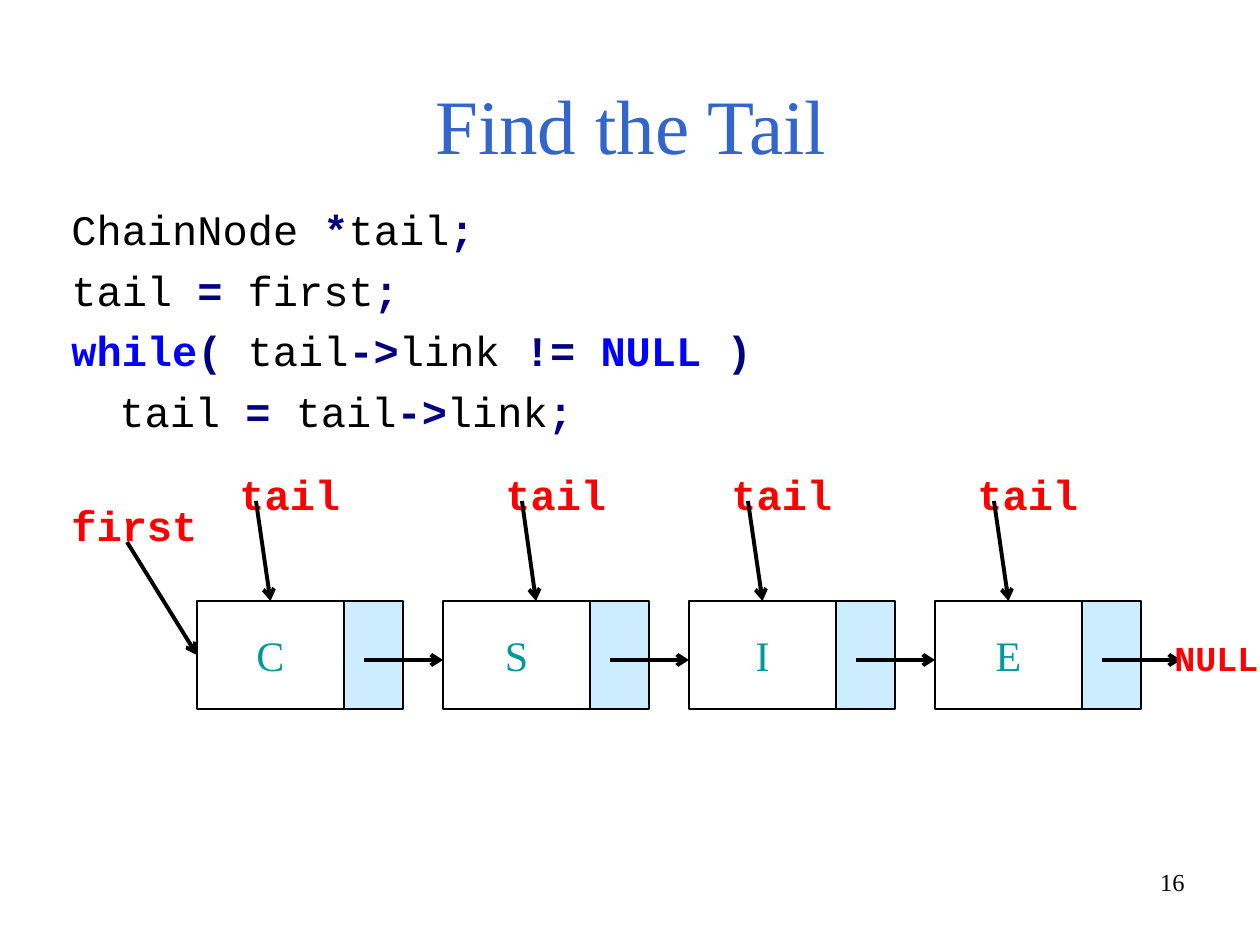
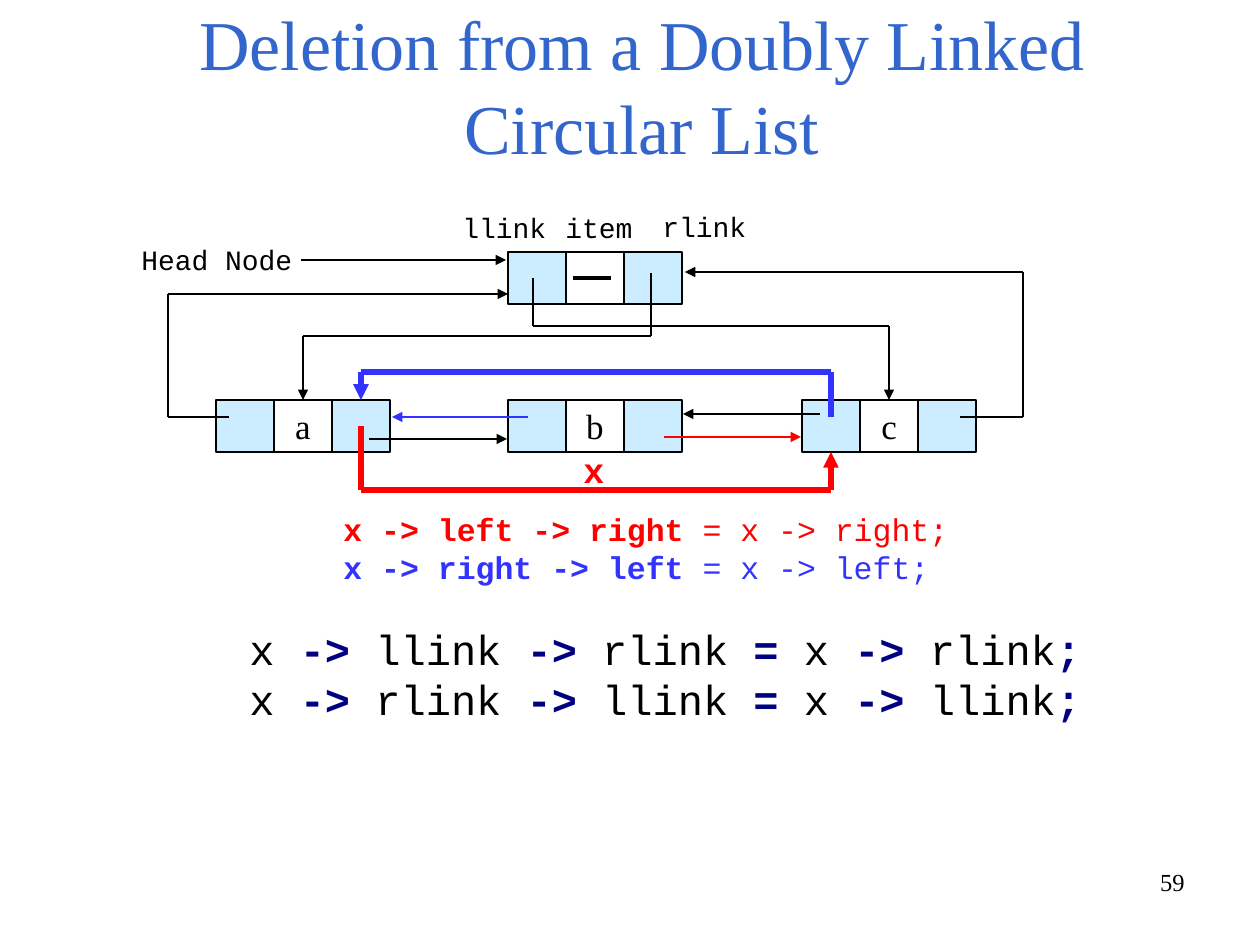
"""Build two slides on linked lists: finding the tail and deleting a node."""
from dataclasses import dataclass
from itertools import groupby, pairwise
from typing import Any, NamedTuple, Optional

from lxml.etree import SubElement
from pptx import Presentation
from pptx.dml.color import RGBColor
from pptx.enum.shapes import MSO_CONNECTOR, MSO_SHAPE
from pptx.enum.text import MSO_ANCHOR, PP_ALIGN
from pptx.oxml.ns import qn
from pptx.util import Emu, Pt

EMU_PER_PX = 914400 / 126
TOP, LEFT, BOTTOM = 0, 1, 2


@dataclass(frozen=True)
class Theme:
    serif: str = "Times New Roman"
    mono: str = "Courier New"
    black: str = "000000"
    white: str = "FFFFFF"
    title: str = "3366CC"
    link: str = "CCECFF"
    item: str = "009999"
    operator: str = "000080"
    keyword: str = "0000FF"
    red: str = "FF0000"
    blue: str = "3333FF"
    title_size: int = 44
    long_title_size: int = 40
    code_size: int = 24
    node_size: int = 20
    step_size: int = 18
    field_size: int = 16
    number_size: int = 14


T = Theme()


class Box(NamedTuple):
    x: int
    y: int
    w: int
    h: int


class Run(NamedTuple):
    text: str
    color: str = T.black
    bold: bool = False


class Style(NamedTuple):
    size: int
    font: str = T.mono
    align: PP_ALIGN = PP_ALIGN.LEFT
    anchor: MSO_ANCHOR = MSO_ANCHOR.TOP
    wrap: bool = True
    gap: int = 0


class Label(NamedTuple):
    box: Box
    run: Run
    style: Style


class Route(NamedTuple):
    points: list[tuple[int, int]]
    color: str = T.black
    width: float = 0.75
    head: Optional[str] = "triangle"
    target: Any = None
    site: int = TOP


def px(n: int) -> Emu:
    return Emu(round(n * EMU_PER_PX))


def assign(obj: Any, values: dict[str, Any]) -> None:
    for name, value in values.items():
        setattr(obj, name, value)


def write(sp: Any, lines: list[list[Run]], style: Style) -> None:
    tf = sp.text_frame
    assign(tf, {"word_wrap": style.wrap, "vertical_anchor": style.anchor})
    for i, runs in enumerate(lines):
        p = tf.add_paragraph() if i else tf.paragraphs[0]
        assign(p, {"alignment": style.align, "space_before": Pt(style.gap if i else 0)})
        for run in runs:
            r = p.add_run()
            r.text = run.text
            assign(r.font, {"name": style.font, "size": Pt(style.size), "bold": run.bold})
            r.font.color.rgb = RGBColor.from_string(run.color)


def add_text(s: Any, box: Box, lines: list[list[Run]], style: Style) -> Any:
    sp = s.shapes.add_textbox(*map(px, box))
    write(sp, lines, style)
    return sp


def add_labels(s: Any, labels: list[Label]) -> None:
    for label in labels:
        add_text(s, label.box, [[label.run]], label.style)


def add_cell(s: Any, box: Box, fill: Optional[str], width: float,
             run: Optional[Run] = None, size: int = T.node_size) -> Any:
    sp = s.shapes.add_shape(MSO_SHAPE.RECTANGLE, *map(px, box))
    sp.shadow.inherit = False
    if fill:
        sp.fill.solid()
        sp.fill.fore_color.rgb = RGBColor.from_string(fill)
    else:
        sp.fill.background()
    sp.line.color.rgb = RGBColor.from_string(T.black)
    sp.line.width = Pt(width)
    if run:
        write(sp, [[run]], Style(size, T.serif, PP_ALIGN.CENTER, MSO_ANCHOR.MIDDLE, False))
    return sp


def add_route(s: Any, route: Route) -> None:
    segments = list(pairwise(route.points))
    for i, (start, end) in enumerate(segments, 1):
        cn = s.shapes.add_connector(MSO_CONNECTOR.STRAIGHT, *map(px, start + end))
        cn.line.color.rgb = RGBColor.from_string(route.color)
        cn.line.width = Pt(route.width)
        spPr = cn._element.spPr
        SubElement(spPr, qn("a:effectLst"))
        if i < len(segments):
            continue
        if route.head:
            SubElement(spPr.find(qn("a:ln")), qn("a:tailEnd"), type=route.head)
        if route.target is not None:
            cn.end_connect(route.target, route.site)


def code_kind(char: str) -> str:
    return "word" if char.isalnum() else "space" if char.isspace() else "operator"


def code_runs(line: str) -> list[Run]:
    runs = []
    for kind, chars in groupby(line, code_kind):
        text = "".join(chars)
        if text in ("while", "NULL"):
            runs.append(Run(text, T.keyword, True))
        elif kind == "operator":
            runs.append(Run(text, T.operator, True))
        else:
            runs.append(Run(text))
    return runs


def add_base(prs: Any, title: str, box: Box, size: int, anchor: MSO_ANCHOR, number: int) -> Any:
    s = prs.slides.add_slide(prs.slide_layouts[6])
    add_text(s, Box(903, 861, 294, 66), [[Run(str(number))]],
             Style(T.number_size, T.serif, PP_ALIGN.RIGHT))
    add_text(s, box, [[Run(title, T.title)]],
             Style(size, T.serif, PP_ALIGN.CENTER, anchor))
    return s


def find_tail(prs: Any) -> None:
    s = add_base(prs, "Find the Tail", Box(64, 45, 1134, 158),
                 T.title_size, MSO_ANCHOR.MIDDLE, 16)
    code = ["ChainNode *tail;", "tail = first;", "while( tail->link != NULL )",
            "tail = tail->link;"]
    sp = add_text(s, Box(59, 197, 1134, 605), [code_runs(line) for line in code],
                  Style(T.code_size, gap=6))
    sp.text_frame.paragraphs[-1]._p.get_or_add_pPr().set("marL", str(px(48)))

    x0, y, pitch, item_w, link_w, h = 197, 601, 246, 147, 59, 108
    nodes = []
    for i, letter in enumerate("CSIE"):
        x = x0 + i * pitch
        add_cell(s, Box(x + item_w, y, link_w, h), T.link, 1)
        nodes.append(add_cell(s, Box(x, y, item_w, h), None, 1,
                              Run(letter, T.item), T.code_size))
        add_route(s, Route([(x + 167, 660), (x + pitch, 660)], width=2.25, head="arrow"))

    pointer = Style(T.code_size, wrap=False)
    add_labels(s, [
        Label(Box(59, 493, 151, 63), Run("first", T.red, True), pointer),
        Label(Box(1162, 630, 123, 55), Run("NULL", T.red, True), Style(T.node_size)),
    ])
    add_route(s, Route([(127, 542), (x0, 655)], width=2.25, head="arrow",
                       target=nodes[0], site=LEFT))
    for tip, node in zip((270, 536, 762, 1008), (nodes[0], None, nodes[2], nodes[3])):
        add_labels(s, [Label(Box(tip - 43, 462, 126, 63), Run("tail", T.red, True), pointer)])
        add_route(s, Route([(tip - 14, 501), (tip, y)], width=2.25, head="arrow", target=node))


def add_double_node(s: Any, x: int, y: int, letter: str = "") -> list[Any]:
    w, h = 58, 52
    run = Run(letter) if letter else None
    cells = [(T.link, None), (T.white, run), (T.link, None)]
    return [add_cell(s, Box(x + i * w, y, w, h), fill, 0.75, text)
            for i, (fill, text) in enumerate(cells)]


def delete_node(prs: Any) -> None:
    s = add_base(prs, "Deletion from a Doubly Linked Circular List", Box(95, 64, 1094, 111),
                 T.long_title_size, MSO_ANCHOR.BOTTOM, 59)
    add_double_node(s, 508, 252)
    a, _, c = [add_double_node(s, x, 400, letter)
               for x, letter in ((216, "a"), (508, "b"), (802, "c"))]
    routes = [
        Route([(369, 439), (507, 439)]),
        Route([(664, 437), (801, 437)], T.red, 1.5),
        Route([(528, 417), (392, 417)], T.blue, 1.5),
        Route([(820, 414), (683, 414)]),
        Route([(229, 417), (168, 417), (168, 294), (508, 294)]),
        Route([(960, 417), (1023, 417), (1023, 272), (685, 272)]),
        Route([(533, 278), (533, 326), (889, 326), (889, 400)], target=c[1]),
        Route([(651, 273), (651, 336), (303, 336), (303, 400)], target=a[1]),
        Route([(301, 260), (506, 260)]),
        Route([(573, 278), (611, 278)], width=2.25, head=None),
        Route([(361, 426), (361, 490), (831, 490), (831, 452)], T.red, 3,
              target=c[0], site=BOTTOM),
        Route([(831, 417), (831, 372), (361, 372), (361, 400)], T.blue, 3, target=a[2]),
    ]
    for route in routes:
        add_route(s, route)

    field = Style(T.field_size)
    add_labels(s, [
        Label(Box(450, 204, 111, 47), Run("llink"), field),
        Label(Box(553, 204, 95, 47), Run("item"), field),
        Label(Box(650, 203, 139, 47), Run("rlink"), field),
        Label(Box(129, 236, 179, 47), Run("Head Node"), field),
        Label(Box(571, 442, 49, 55), Run("x", T.red, True), Style(T.node_size)),
    ])
    steps = [("x -> left -> right", " = x -> right;", T.red),
             ("x -> right -> left", " = x -> left;", T.blue)]
    add_text(s, Box(331, 504, 654, 88),
             [[Run(target, color, True), Run(value, color)] for target, value, color in steps],
             Style(T.step_size))
    code = ["x -> llink -> rlink = x -> rlink;", "x -> rlink -> llink = x -> llink;"]
    add_text(s, Box(237, 617, 857, 113), [code_runs(line) for line in code],
             Style(T.code_size, wrap=False))


def main() -> None:
    prs = Presentation()
    assign(prs, {"slide_width": px(1260), "slide_height": px(945)})
    find_tail(prs)
    delete_node(prs)
    prs.save("out.pptx")


if __name__ == "__main__":
    main()
